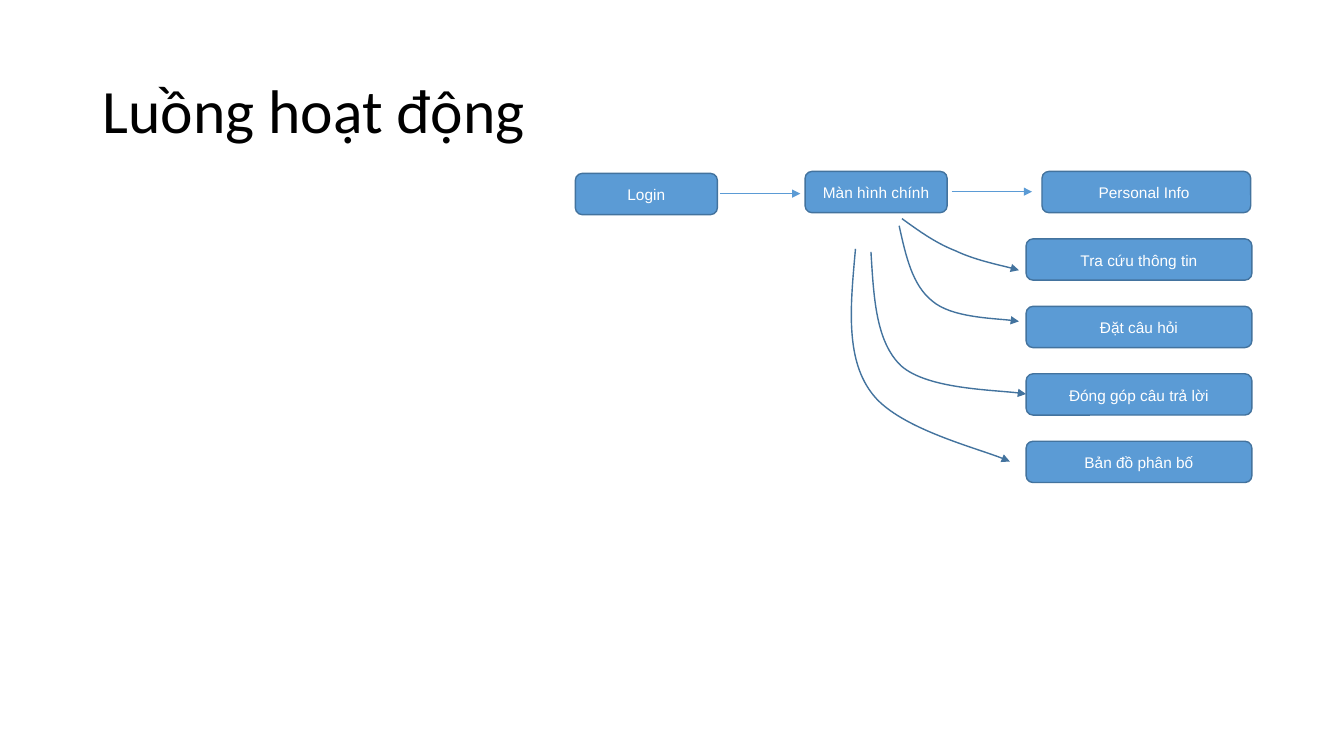
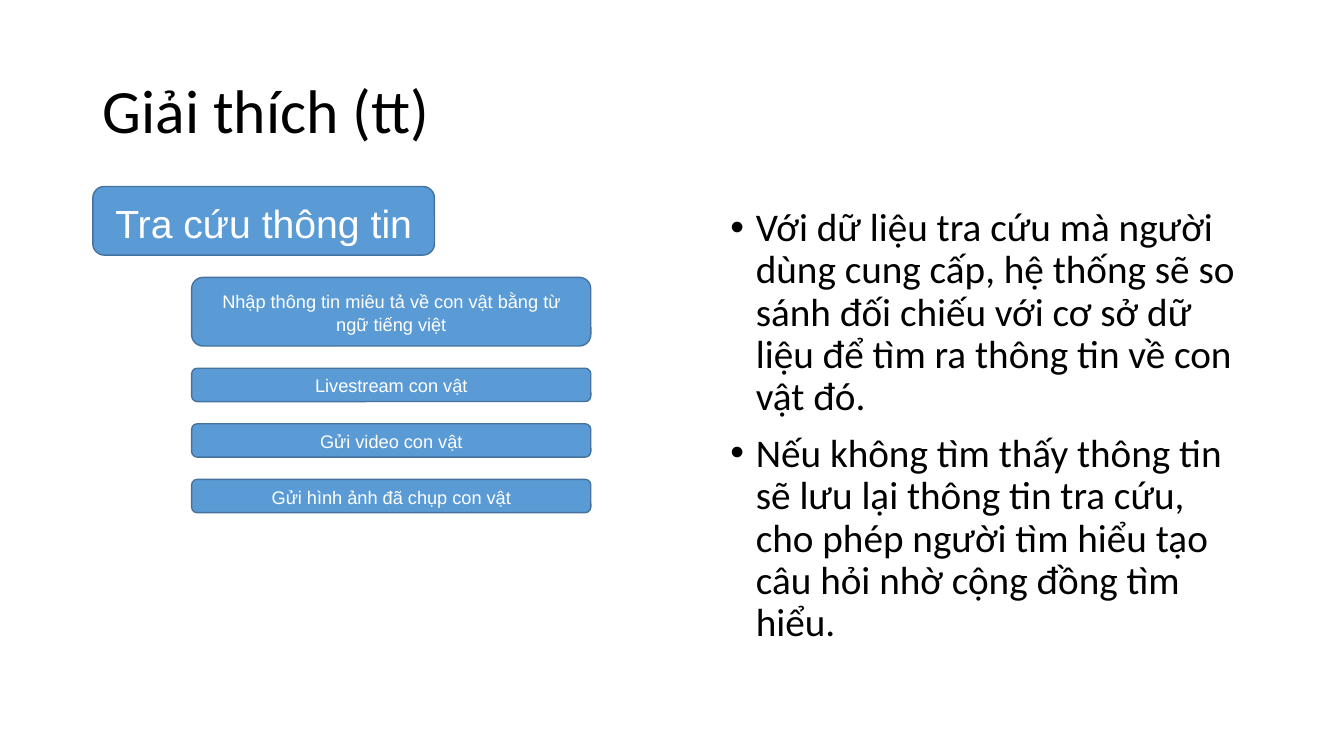
from dataclasses import dataclass
from typing import NamedTuple

from lxml import etree
from pptx import Presentation
from pptx.dml.color import RGBColor
from pptx.enum import shapes, text
from pptx.oxml import ns
from pptx.util import Cm, Pt


@dataclass(frozen=True)
class Theme:
    box_fill: RGBColor = RGBColor(0x5B, 0x9B, 0xD5)
    box_line: RGBColor = RGBColor(0x43, 0x73, 0x9E)
    ink: RGBColor = RGBColor(0, 0, 0)
    paper: RGBColor = RGBColor(0xFF, 0xFF, 0xFF)
    text_font: str = "Calibri"
    box_font: str = "Arial"
    title_size: float = 44
    large_size: float = 28
    option_size: float = 13
    flow_size: float = 11


class Area(NamedTuple):
    left: float
    top: float
    width: float
    height: float

    def lengths(self) -> list:
        return [Cm(value) for value in self]


class Step(NamedTuple):
    label: str
    area: Area
    size: float


class Arrow(NamedTuple):
    start: tuple
    end: tuple


THEME = Theme()
TITLE_AREA = Area(2.34, 1.01, 29.21, 3.68)


# Shared drawing functions
def write_text(frame, paragraphs, *, size, font=THEME.text_font, color=THEME.ink,
               align=text.PP_ALIGN.LEFT, anchor=text.MSO_ANCHOR.MIDDLE,
               spacing=0.9, before=0, after=0, bullet="") -> None:
    frame.word_wrap = True
    frame.vertical_anchor = anchor
    for index, words in enumerate(paragraphs):
        paragraph = frame.add_paragraph() if index else frame.paragraphs[0]
        paragraph.alignment = align
        paragraph.line_spacing = spacing
        paragraph.space_before, paragraph.space_after = Pt(before), Pt(after)
        run = paragraph.add_run()
        run.text = words
        run.font.name, run.font.size = font, Pt(size)
        run.font.color.rgb = color
        if bullet:
            properties = paragraph._p.get_or_add_pPr()
            properties.set("marL", str(Cm(0.64)))
            properties.set("indent", str(-Cm(0.64)))
            etree.SubElement(properties, ns.qn("a:buFont"), typeface="Arial")
            etree.SubElement(properties, ns.qn("a:buChar"), char=bullet)


def add_text(slide, area: Area, paragraphs, **style) -> None:
    write_text(slide.shapes.add_textbox(*area.lengths()).text_frame, paragraphs, **style)


def add_step(slide, step: Step) -> None:
    box = slide.shapes.add_shape(shapes.MSO_SHAPE.ROUNDED_RECTANGLE, *step.area.lengths())
    box.shadow.inherit = False
    box.fill.solid()
    box.fill.fore_color.rgb = THEME.box_fill
    style_line(box.line, THEME.box_line, 1)
    write_text(box.text_frame, [step.label], size=step.size, font=THEME.box_font,
               color=THEME.paper, align=text.PP_ALIGN.CENTER, spacing=1.07, after=8)


def style_line(line, color: RGBColor, width: float, arrow: bool = False) -> None:
    line.color.rgb = color
    line.width = Pt(width)
    if arrow:
        etree.SubElement(line._get_or_add_ln(), ns.qn("a:tailEnd"), type="triangle")


def add_arrow(slide, arrow: Arrow) -> None:
    ends = [Cm(value) for value in arrow.start + arrow.end]
    link = slide.shapes.add_connector(shapes.MSO_CONNECTOR.STRAIGHT, *ends)
    style_line(link.line, THEME.box_fill, 0.5, arrow=True)
    etree.SubElement(link._element.spPr, ns.qn("a:effectLst"))


def add_curve(slide, points) -> None:
    """Draw a start point followed by triples of Bezier points."""
    start, *rest = [(Cm(x), Cm(y)) for x, y in points]
    builder = slide.shapes.build_freeform(*start)
    builder.add_line_segments(rest, close=False)
    curve = builder.convert_to_shape()
    curve.shadow.inherit = False
    curve.fill.background()
    style_line(curve.line, THEME.box_line, 1, arrow=True)
    # Merge each three segments into one cubic curve
    segments = list(curve._element.iter(ns.qn("a:lnTo")))
    for first in range(0, len(segments), 3):
        cubic = etree.Element(ns.qn("a:cubicBezTo"))
        segments[first].addprevious(cubic)
        for segment in segments[first:first + 3]:
            cubic.append(segment[0])
            segment.getparent().remove(segment)


def add_titled_slide(deck, title: str):
    slide = deck.slides.add_slide(deck.slide_layouts[6])
    add_text(slide, TITLE_AREA, [title], size=THEME.title_size)
    return slide


# Activity flow
FLOW_HEIGHT = 1.04
FLOW_STEPS = [
    Step(label, Area(left, top, width, FLOW_HEIGHT), THEME.flow_size)
    for label, left, top, width in [
        ("Login", 14.5, 4.37, 3.58),
        ("Màn hình chính", 20.29, 4.32, 3.58),
        ("Personal Info\u00a0", 26.26, 4.32, 5.26),
    ]
]
FEATURES = ["Tra cứu thông tin", "Đặt câu hỏi", "Đóng góp câu trả lời", "Bản đồ phân bố"]
FLOW_STEPS += [
    Step(label, Area(25.86, 6.02 + 1.7 * row, 5.69, FLOW_HEIGHT), THEME.flow_size)
    for row, label in enumerate(FEATURES)
]
FLOW_ARROWS = [Arrow((18.14, 4.88), (20.17, 4.88)), Arrow((23.98, 4.83), (26.01, 4.83))]
FEATURE_CURVES = [
    [(22.73, 5.51), (23.16, 5.82), (23.57, 6.12), (24.08, 6.32),
     (24.56, 6.55), (25.43, 6.73), (25.68, 6.81)],
    [(22.66, 5.69), (22.83, 6.45), (22.99, 7.19), (23.5, 7.59),
     (23.98, 8), (25.32, 8.03), (25.68, 8.1)],
    [(21.95, 6.35), (22.02, 7.49), (22.07, 8.61), (22.71, 9.22),
     (23.37, 9.8), (25.32, 9.83), (25.86, 9.93)],
    [(21.56, 6.27), (21.44, 7.62), (21.29, 8.99), (21.95, 9.88),
     (22.58, 10.77), (24.87, 11.35), (25.45, 11.63)],
]


def build_flow(deck) -> None:
    slide = add_titled_slide(deck, "Luồng hoạt động")
    for arrow in FLOW_ARROWS:
        add_arrow(slide, arrow)
    for step in FLOW_STEPS:
        add_step(slide, step)
    for points in FEATURE_CURVES:
        add_curve(slide, points)


# Explanation of the lookup feature
LOOKUP = Step(FEATURES[0], Area(2.34, 4.7, 8.61, 1.73), THEME.large_size)
OPTION_GAP = 0.56
LOOKUP_OPTIONS = [
    ("Nhập thông tin miêu tả về con vật bằng từ ngữ tiếng việt", 1.73),
    ("Livestream con vật", 0.84),
    ("Gửi video con vật", 0.84),
    ("Gửi hình ảnh đã chụp con vật", 0.84),
]
EXPLANATION = [
    "Với dữ liệu tra cứu mà người dùng cung cấp, hệ thống sẽ so sánh đối chiếu "
    "với cơ sở dữ liệu để tìm ra thông tin về con vật đó.",
    "Nếu không tìm thấy thông tin sẽ lưu lại thông tin tra cứu, cho phép người "
    "tìm hiểu tạo câu hỏi nhờ cộng đồng tìm hiểu.",
]


def build_explanation(deck) -> None:
    slide = add_titled_slide(deck, "Giải thích (tt)")
    add_text(slide, Area(18.16, 5.11, 13.39, 12.09), EXPLANATION, size=THEME.large_size,
             anchor=text.MSO_ANCHOR.TOP, before=10, bullet="•")
    add_step(slide, LOOKUP)
    top = LOOKUP.area.top + LOOKUP.area.height + OPTION_GAP
    for label, height in LOOKUP_OPTIONS:
        add_step(slide, Step(label, Area(4.83, top, 10.06, height), THEME.option_size))
        top += height + OPTION_GAP


deck = Presentation()
deck.slide_width, deck.slide_height = Cm(33.87), Cm(19.05)
build_flow(deck)
build_explanation(deck)
deck.save("out.pptx")
